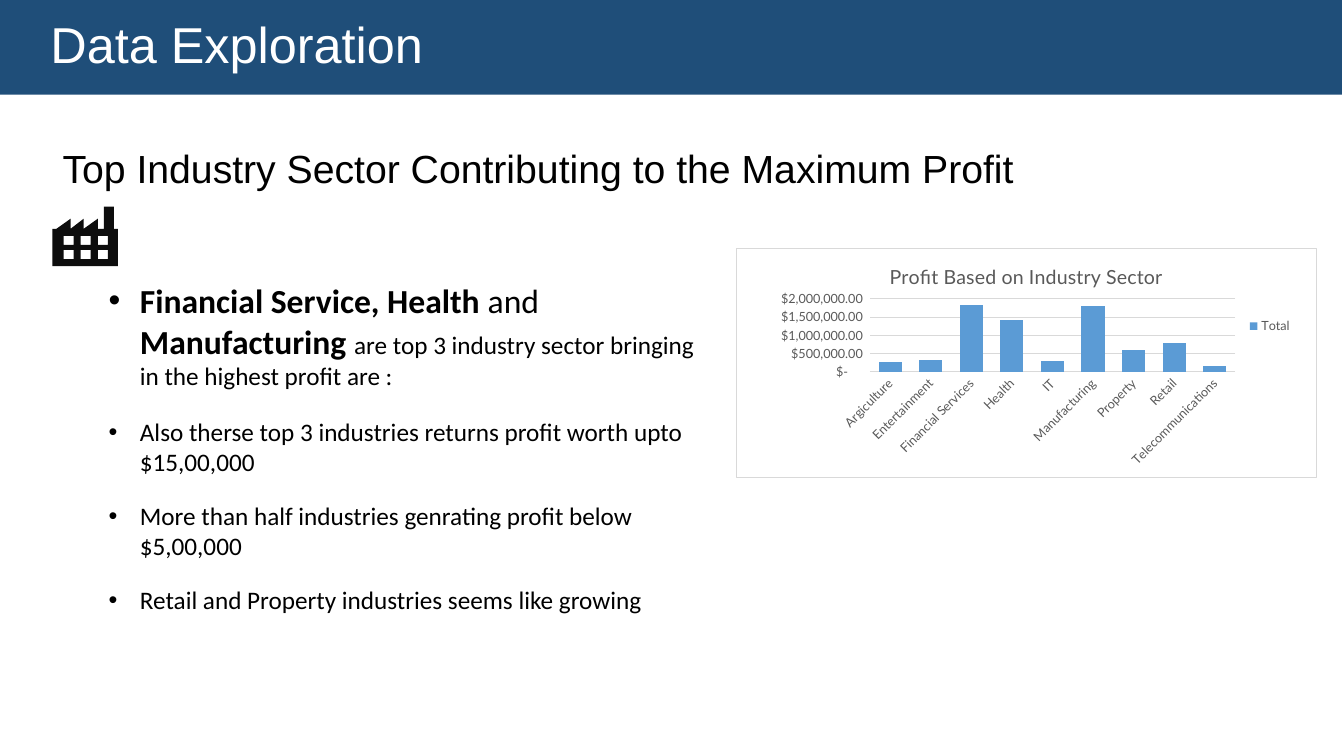
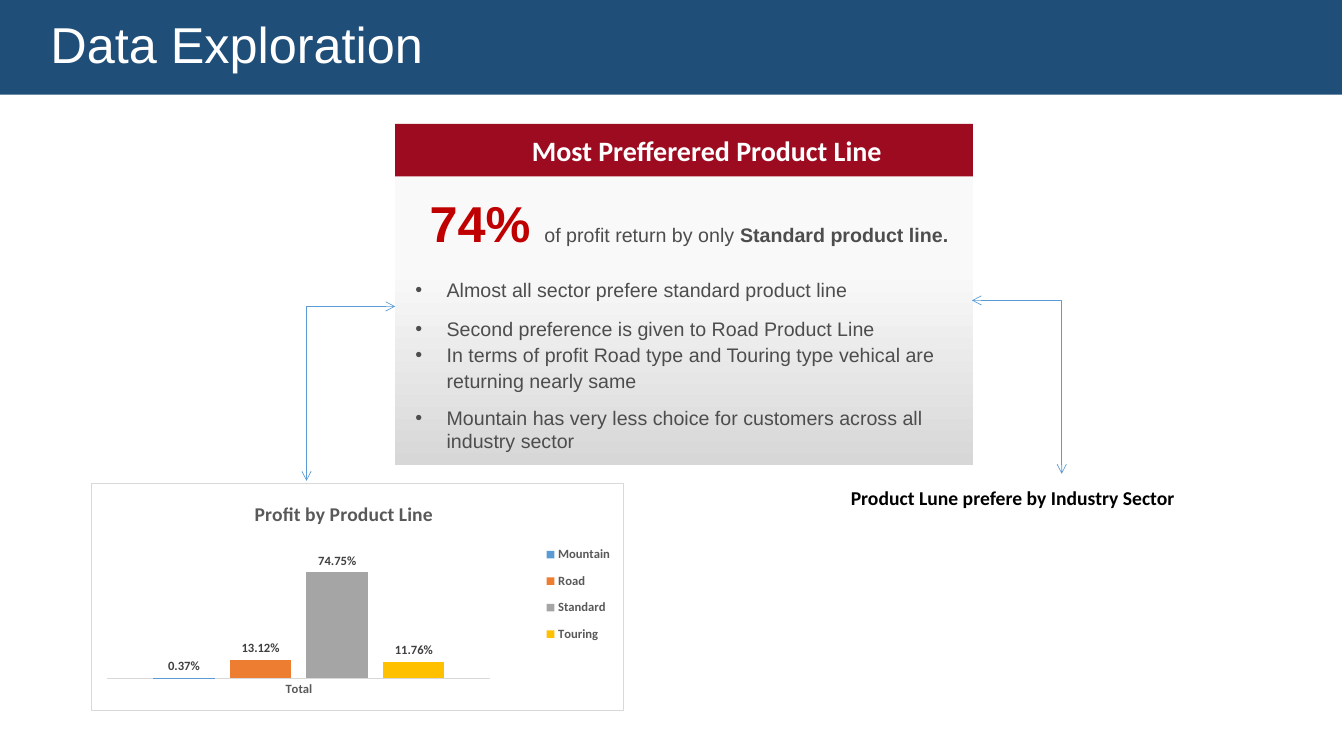
from dataclasses import dataclass

from lxml import etree
from pptx import Presentation
from pptx import util as u
from pptx.chart import data
from pptx.dml.color import RGBColor
from pptx.enum import chart as charts, shapes, text
from pptx.oxml import ns

Inches, Pt = u.Inches, u.Pt


@dataclass(frozen=True)
class Theme:
    navy: str = "1F4E79"
    crimson: str = "9D0B20"
    red: str = "C00000"
    black: str = "000000"
    ink: str = "0D0D0D"
    white: str = "FFFFFF"
    grey: str = "4D4D4D"
    label: str = "404040"
    muted: str = "595959"
    rule: str = "D9D9D9"
    panel_top: str = "F9F9F9"
    panel_bottom: str = "D7D7D7"
    series: tuple = ("5B9BD5", "ED7D31", "A5A5A5", "FFC000")
    head: str = "Arial"
    body: str = "Calibri"
    chart: str = "Lato"
    header: int = 36
    title: int = 28
    lead: int = 24
    banner: int = 20
    bullet: int = 18
    note: int = 14
    tick: int = 9


T = Theme()
HEADER_TEXT = "Data Exploration"
DOLLARS = ('_-[$$-409]* #,##0.00_ ;_-[$$-409]* \\-#,##0.00\\ ;'
           '_-[$$-409]* "-"??_ ;_-@_ ')


def rgb(value):
    return RGBColor.from_string(value)


def style(font, size, color, name, bold=False):
    font.size, font.name, font.bold = Pt(size), name, bold
    font.color.rgb = rgb(color)


def place(sp, left, top, width, height):
    sp.left, sp.top = Inches(left), Inches(top)
    sp.width, sp.height = Inches(width), Inches(height)


def paint(sp, color):
    sp.fill.solid()
    sp.fill.fore_color.rgb = rgb(color)


def add_box(s, left, top, width, height):
    sp = s.shapes.add_shape(shapes.MSO_SHAPE.RECTANGLE, Inches(left), Inches(top),
                            Inches(width), Inches(height))
    sp.shadow.inherit = False
    sp.line.fill.background()
    return sp


def write_line(sp, words, size, color, name, bold=False,
               align=text.PP_ALIGN.LEFT, inset=0.1, spacing=1.0):
    tf = sp.text_frame
    tf.text = words
    tf.word_wrap = True
    tf.auto_size = text.MSO_AUTO_SIZE.NONE
    tf.vertical_anchor = text.MSO_ANCHOR.MIDDLE
    tf.margin_left, tf.margin_right = Inches(inset), Inches(0.1)
    tf.margin_top = tf.margin_bottom = Inches(0.05)
    p = tf.paragraphs[0]
    p.alignment, p.line_spacing = align, spacing
    style(p.runs[0].font, size, color, name, bold)


def format_header(sp):
    place(sp, 0, 0, 13.31, 0.94)
    paint(sp, T.navy)
    write_line(sp, HEADER_TEXT, T.header, T.white, T.head, inset=0.5, spacing=0.9)


def add_runs(p, runs):
    for words, *font in runs:
        r = p.add_run()
        r.text = words
        style(r.font, *font)


def set_indent(p, margin, hanging=0.0):
    pPr = p._p.get_or_add_pPr()
    pPr.set("marL", str(Inches(margin)))
    pPr.set("indent", str(-Inches(hanging)))
    return pPr


def set_bullet(p):
    pPr = set_indent(p, 0.31, 0.31)
    etree.SubElement(pPr, ns.qn("a:buFont")).set("typeface", "Arial")
    etree.SubElement(pPr, ns.qn("a:buChar")).set("char", "•")


def add_bullets(tf, items, size, color, name):
    for words, after, spacing in items:
        p = tf.add_paragraph()
        p.text = words
        p.alignment = text.PP_ALIGN.LEFT
        p.space_after, p.line_spacing = Pt(after), spacing
        set_bullet(p)
        for r in p.runs:
            style(r.font, size, color, name)


def set_layout(parent, index, inner=False, **area):
    for old in parent.findall(ns.qn("c:layout")):
        parent.remove(old)
    layout = etree.Element(ns.qn("c:layout"))
    manual = etree.SubElement(layout, ns.qn("c:manualLayout"))
    marks = [("layoutTarget", "inner")] if inner else []
    marks += [("xMode", "edge"), ("yMode", "edge"), *area.items()]
    for tag, value in marks:
        etree.SubElement(manual, ns.qn("c:" + tag)).set("val", str(value))
    parent.insert(index, layout)


def frame_chart(chart):
    spPr = etree.Element(ns.qn("c:spPr"))
    line = etree.Element(ns.qn("a:ln"), w=str(Pt(0.75)))
    for parent, color in ((spPr, T.white), (line, T.rule)):
        fill = etree.SubElement(parent, ns.qn("a:solidFill"))
        etree.SubElement(fill, ns.qn("a:srgbClr")).set("val", color)
    spPr.append(line)
    chart._chartSpace.find(ns.qn("c:chart")).addnext(spPr)


def add_columns(s, box, title, cats, series, number_format, font, bold, gap, plot, legend):
    cd = data.CategoryChartData(number_format=number_format)
    cd.categories = cats
    for name, values in series:
        cd.add_series(name, values)
    chart = s.shapes.add_chart(charts.XL_CHART_TYPE.COLUMN_CLUSTERED,
                               *(Inches(v) for v in box), cd).chart
    style(chart.font, 10, T.black, font, bold)
    frame_chart(chart)
    chart.has_title = True
    chart.chart_title.text_frame.text = title
    style(chart.chart_title.text_frame.paragraphs[0].runs[0].font,
          T.note, T.muted, font, bold)
    chart.has_legend = True
    chart.legend.position = charts.XL_LEGEND_POSITION.RIGHT
    chart.legend.include_in_layout = False
    style(chart.legend.font, T.tick, T.muted, font, bold)
    set_layout(chart.legend._element, 1, **legend)
    set_layout(chart._chartSpace.chart.plotArea, 0, inner=True, **plot)

    columns = chart.plots[0]
    columns.gap_width, columns.overlap = gap, -25
    columns.vary_by_categories = False
    for column, color in zip(columns.series, T.series):
        paint(column.format, color)
        column.invert_if_negative = False
    for axis in (chart.category_axis, chart.value_axis):
        axis.major_tick_mark = axis.minor_tick_mark = charts.XL_TICK_MARK.NONE
        style(axis.tick_labels.font, T.tick, T.muted, font, bold)
    chart.category_axis.format.line.color.rgb = rgb(T.rule)
    chart.category_axis.format.line.width = Pt(0.75)
    chart.value_axis.minimum_scale = 0
    return chart


def add_profit_by_sector(s):
    sectors = {"Argiculture": 260000, "Entertainment": 330000,
               "Financial Services": 1840000, "Health": 1420000, "IT": 310000,
               "Manufacturing": 1810000, "Property": 600000, "Retail": 800000,
               "Telecommunications": 160000}
    chart = add_columns(
        s, (7.3, 2.46, 5.76, 2.28), "Profit Based on Industry Sector",
        list(sectors), [("Total", list(sectors.values()))], DOLLARS, T.chart, False, 75,
        dict(x=0.23, y=0.22, w=0.63, h=0.32), dict(x=0.87, y=0.29, w=0.1, h=0.1))
    labels = chart.category_axis._element.find(ns.qn("c:txPr"))
    labels.find(ns.qn("a:bodyPr")).set("rot", "-2700000")
    axis = chart.value_axis
    axis.maximum_scale, axis.major_unit = 2000000, 500000
    axis.tick_labels.number_format = DOLLARS
    axis.tick_labels.number_format_is_linked = False
    axis.format.line.fill.background()
    axis.major_gridlines.format.line.color.rgb = rgb(T.rule)
    axis.major_gridlines.format.line.width = Pt(0.75)


def add_profit_by_line(s):
    lines = [("Mountain", [0.0037]), ("Road", [0.1312]),
             ("Standard", [0.7475]), ("Touring", [0.1176])]
    chart = add_columns(
        s, (0.9, 4.79, 5.29, 2.26), "Profit by Product Line", ["Total"], lines,
        "0.00%", T.body, True, 150,
        dict(x=0.03, y=0.36, w=0.72, h=0.5), dict(x=0.84, y=0.23, w=0.15, h=0.52))
    set_layout(chart.chart_title._element, 1, x=0.3, y=0.06)
    chart.value_axis.maximum_scale = 0.8
    chart.value_axis.has_major_gridlines = False
    chart.value_axis.visible = False
    for column in chart.plots[0].series:
        labels = column.data_labels
        labels.show_value = True
        labels.position = charts.XL_LABEL_POSITION.OUTSIDE_END
        labels.number_format, labels.number_format_is_linked = "0.00%", False
        style(labels.font, T.tick, T.label, T.body, True)


def add_factory(s):
    walls = [(1.13, 2.27), (1.13, 2.05), (1.03, 2.05), (1.03, 2.27), (0.97, 2.27),
             (0.97, 2.17), (0.83, 2.27), (0.83, 2.17), (0.7, 2.27), (0.7, 2.17),
             (0.56, 2.27), (0.52, 2.27), (0.52, 2.64), (1.17, 2.64), (1.17, 2.27)]
    windows = [[(x + 0.1, y + 0.09), (x, y + 0.09), (x, y), (x + 0.1, y)]
               for x in (0.63, 0.8, 0.97) for y in (2.48, 2.34)]
    outlines = [[(Inches(x), Inches(y)) for x, y in points]
                for points in (walls, *windows)]
    builder = s.shapes.build_freeform(*outlines[0][0])
    for i, (start, *rest) in enumerate(outlines):
        if i:
            builder.move_to(*start)
        builder.add_line_segments(rest, close=True)
    sp = builder.convert_to_shape()
    sp.shadow.inherit = False
    paint(sp, T.ink)
    sp.line.fill.background()


def add_elbow(s, *ends):
    line = s.shapes.add_connector(shapes.MSO_CONNECTOR.ELBOW, *(Inches(v) for v in ends))
    line.line.color.rgb = rgb(T.series[0])
    line.line.width = Pt(0.5)
    spPr = line._element.spPr
    spPr.find(ns.qn("a:prstGeom")).set("prst", "bentConnector2")
    for end in ("a:headEnd", "a:tailEnd"):
        etree.SubElement(spPr.find(ns.qn("a:ln")), ns.qn(end)).set("type", "arrow")
    etree.SubElement(spPr, ns.qn("a:effectLst"))


def add_sector_findings(s):
    tf = s.shapes.add_textbox(Inches(0.98), Inches(2.73), Inches(6.2),
                              Inches(4.09)).text_frame
    tf.word_wrap = True
    p = tf.paragraphs[0]
    set_bullet(p)
    p.space_after = Pt(18)
    strong = (T.lead, T.black, T.body, True)
    add_runs(p, [("Financial Service, Health ", *strong),
                 ("and ", T.lead, T.black, T.body),
                 ("Manufacturing ", *strong),
                 ("are top 3 industry sector bringing in the highest profit are :",
                  T.bullet, T.black, T.body)])
    add_bullets(tf, [
        ("Also therse top 3 industries returns profit worth upto\v$15,00,000", 17, 1.0),
        ("More than half industries genrating profit below\v$5,00,000", 17, 1.0),
        ("Retail and Property industries seems like growing", 0, 1.0),
    ], T.bullet, T.black, T.body)


def add_product_panel(s):
    sp = add_box(s, 3.92, 1.71, 5.73, 2.9)
    sp.fill.gradient()
    sp.fill.gradient_angle = 270
    for stop, color, position in zip(sp.fill.gradient_stops,
                                     (T.panel_top, T.panel_bottom), (0.33, 1.0)):
        stop.color.rgb, stop.position = rgb(color), position
    tf = sp.text_frame
    tf.word_wrap = True
    tf.vertical_anchor = text.MSO_ANCHOR.TOP
    tf.margin_left = tf.margin_right = tf.margin_top = Inches(0.2)
    p = tf.paragraphs[0]
    p.alignment, p.space_after = text.PP_ALIGN.LEFT, Pt(18)
    set_indent(p, 0.14)
    add_runs(p, [("74% ", T.header, T.red, T.head, True),
                 ("of profit return by only ", T.note, T.grey, T.head),
                 ("Standard product line.", T.note, T.grey, T.head, True)])
    add_bullets(tf, [
        ("Almost all sector prefere standard product line", 11, 1.0),
        ("Second preference is given to Road Product Line", 0, 1.0),
        ("In terms of profit Road type and Touring type vehical are returning nearly same",
         9.5, 1.1),
        ("Mountain has very less choice for customers across all\vindustry sector", 0, 1.0),
    ], T.note, T.grey, T.head)
    banner = add_box(s, 3.92, 1.23, 5.73, 0.52)
    paint(banner, T.crimson)
    write_line(banner, "Most Prefferered Product Line", T.banner, T.white, T.body, True,
               text.PP_ALIGN.CENTER, inset=0.55)


def build_sector_slide(prs):
    s = prs.slides.add_slide(prs.slide_layouts[5])
    title = s.shapes.title
    place(title, 0.52, 1.34, 10.28, 0.71)
    write_line(title, "Top Industry Sector Contributing to the Maximum Profit",
               T.title, T.black, T.head, spacing=0.9)
    format_header(add_box(s, 0, 0, 13.31, 0.94))
    add_profit_by_sector(s)
    add_sector_findings(s)
    add_factory(s)


def build_product_slide(prs):
    s = prs.slides.add_slide(prs.slide_layouts[5])
    format_header(s.shapes.title)
    add_profit_by_line(s)
    add_product_panel(s)
    add_elbow(s, 3.92, 3.04, 3.04, 4.77)
    add_elbow(s, 9.64, 2.98, 10.53, 4.7)
    caption = s.shapes.add_textbox(Inches(8.34), Inches(4.77), Inches(4.34), Inches(0.34))
    write_line(caption, "Product Lune prefere by Industry Sector",
               T.note, T.black, T.body, True)


def main():
    prs = Presentation()
    prs.slide_width, prs.slide_height = Inches(13.33), Inches(7.5)
    build_sector_slide(prs)
    build_product_slide(prs)
    prs.save("out.pptx")


main()
